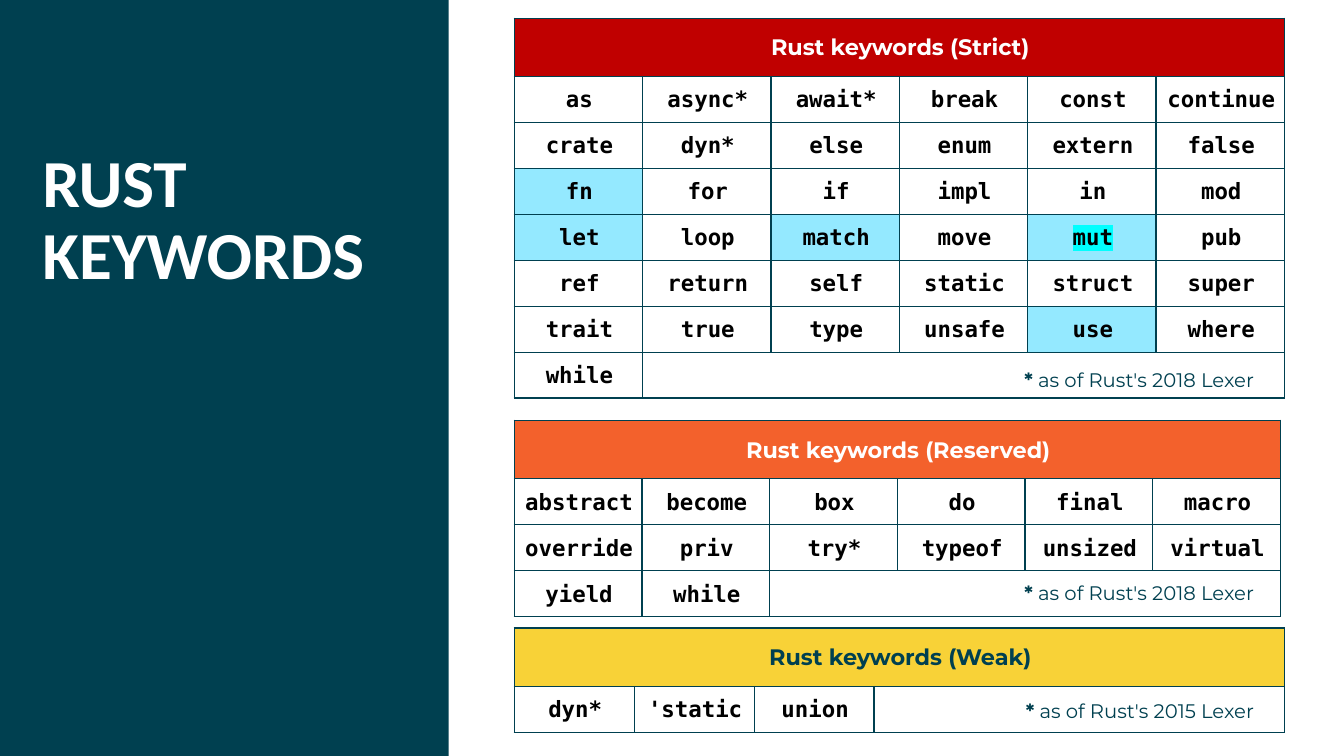
from pptx import Presentation
from pptx import util as u
from pptx.dml.color import RGBColor
from pptx.enum import shapes, text
from pptx.oxml import parse_xml
from pptx.oxml.ns import nsdecls, qn

TEAL = RGBColor(0x00, 0x40, 0x50)
WHITE = RGBColor(0xFF, 0xFF, 0xFF)
BLACK = RGBColor(0x00, 0x00, 0x00)
RED = RGBColor(0xC0, 0x00, 0x00)
ORANGE = RGBColor(0xF3, 0x61, 0x2C)
YELLOW = RGBColor(0xF8, 0xD2, 0x37)
SKY = RGBColor(0x94, 0xE9, 0xFF)
CYAN = RGBColor(0x00, 0xFF, 0xFF)

COLUMNS = 6
HEADER_HEIGHT = u.Inches(0.57)
HEADER_INSETS = (0.1, 0.16, 0.08, 0.15)
KEYWORD_INSETS = (0.1, 0.1, 0.08, 0.09)
SIDES = ("left", "top", "right", "bottom")
MIDDLE = text.MSO_ANCHOR.MIDDLE

STRICT = """as async* await* break const continue
crate dyn* else enum extern false
fn for if impl in mod
let loop match move mut pub
ref return self static struct super
trait true type unsafe use where
while"""
RESERVED = """abstract become box do final macro
override priv try* typeof unsized virtual
yield while"""
WEAK = "dyn* 'static union"
SHADED = {"fn", "let", "match", "mut", "use"}
HIGHLIGHTED = {"mut"}


def set_all(target, values):
    for name, value in values.items():
        setattr(target, name, value)


def add_span(para, words, font, size, color, bold=True):
    span = para.add_run()
    span.text = words
    set_all(span.font, {"name": font, "size": u.Pt(size), "bold": bold})
    span.font.color.rgb = color
    return span


def highlight(span, color):
    mark = parse_xml(
        f'<a:highlight {nsdecls("a")}><a:srgbClr val="{color}"/></a:highlight>')
    span.font.fill.solid()
    span.font.color.rgb = BLACK
    span._r.get_or_add_rPr().find(qn("a:solidFill")).addnext(mark)


def set_borders(cell, visible):
    properties = cell._tc.get_or_add_tcPr()
    for side in "LRTB":
        paint = (f'<a:solidFill><a:srgbClr val="{TEAL}"/></a:solidFill>'
                 if side in visible else "<a:noFill/>")
        properties.append(parse_xml(
            f'<a:ln{side} {nsdecls("a")} w="{u.Pt(1)}">{paint}</a:ln{side}>'))


def fill_cell(cell, color=None):
    if color is None:
        cell.fill.background()
    else:
        cell.fill.solid()
        cell.fill.fore_color.rgb = color


def write_cell(cell, words, font, color, insets):
    set_all(cell, {f"margin_{side}": u.Inches(inset)
                   for side, inset in zip(SIDES, insets)})
    cell.vertical_anchor = MIDDLE
    para = cell.text_frame.paragraphs[0]
    para.alignment = text.PP_ALIGN.CENTER
    return add_span(para, words, font, 16, color)


def write_keyword(cell, word):
    span = write_cell(cell, word, "DejaVu Sans Mono", BLACK, KEYWORD_INSETS)
    if word in HIGHLIGHTED:
        highlight(span, CYAN)


def blank_borders(column, first):
    return "TB" + "L" * (column == first) + "R" * (column == COLUMNS - 1)


def add_keyword_table(page, heading, keywords, top, width, height,
                      fill, color=WHITE, column_width=None):
    lines = [line.split() for line in keywords.splitlines()]
    frame = page.shapes.add_table(len(lines) + 1, COLUMNS, u.Inches(5.1),
                                  u.Inches(top), u.Inches(width), u.Inches(height))
    table = frame.table
    set_all(table, {"first_row": False, "horz_banding": False})

    if column_width:
        for column in list(table.columns)[:-1]:
            column.width = u.Inches(column_width)
        table.columns[COLUMNS - 1].width = u.Inches(
            width - column_width * (COLUMNS - 1))
    table.rows[0].height = HEADER_HEIGHT
    for row in list(table.rows)[1:]:
        row.height = (u.Inches(height) - HEADER_HEIGHT) // len(lines)

    for column in range(COLUMNS):
        set_borders(table.cell(0, column), "LRTB")
    header = table.cell(0, 0)
    header.merge(table.cell(0, COLUMNS - 1))
    fill_cell(header, fill)
    write_cell(header, heading, "Montserrat", color, HEADER_INSETS)

    for number, words in enumerate(lines, 1):
        for column in range(COLUMNS):
            cell = table.cell(number, column)
            if column < len(words):
                set_borders(cell, "LRTB")
                fill_cell(cell, SKY if words[column] in SHADED else None)
                write_keyword(cell, words[column])
            else:
                set_borders(cell, blank_borders(column, len(words)))
                fill_cell(cell)


def format_frame(frame):
    set_all(frame, {f"margin_{side}": 0 for side in SIDES})
    set_all(frame, {"word_wrap": True, "auto_size": text.MSO_AUTO_SIZE.NONE,
                    "vertical_anchor": text.MSO_ANCHOR.TOP})
    return frame.paragraphs[0]


def add_note(page, top, year):
    box = page.shapes.add_textbox(u.Inches(9.94), u.Inches(top),
                                  u.Inches(2.5), u.Inches(0.24))
    para = format_frame(box.text_frame)
    para.alignment = text.PP_ALIGN.RIGHT
    add_span(para, "*", "Montserrat", 14, TEAL)
    add_span(para, f" as of Rust's {year} Lexer", "Montserrat", 14, TEAL, False)


def add_panel(page, height):
    panel = page.shapes.add_shape(shapes.MSO_SHAPE.RECTANGLE, 0, 0,
                                  u.Inches(4.45), height)
    panel.shadow.inherit = False
    panel.fill.solid()
    panel.fill.fore_color.rgb = TEAL
    panel.line.fill.background()
    panel.element.getparent().insert(2, panel.element)


def write_title(page, words):
    title = page.shapes.title
    set_all(title, {"left": u.Inches(0.42), "top": u.Inches(1.48),
                    "width": u.Inches(3.77), "height": u.Inches(3.01)})
    para = format_frame(title.text_frame)
    set_all(para, {"alignment": text.PP_ALIGN.LEFT, "line_spacing": 0.9})
    add_span(para, words, "Calibri", 48, WHITE)


def main():
    deck = Presentation()
    set_all(deck, {"slide_width": u.Inches(13.33), "slide_height": u.Inches(7.5)})
    page = deck.slides.add_slide(deck.slide_layouts.get_by_name("Title Only"))
    add_panel(page, deck.slide_height)
    write_title(page, "RUST KEYWORDS")
    add_keyword_table(page, "Rust keywords (Strict)", STRICT,
                      0.18, 7.64, 3.76, RED)
    add_keyword_table(page, "Rust keywords (Reserved)", RESERVED,
                      4.17, 7.6, 1.94, ORANGE)
    add_keyword_table(page, "Rust keywords (Weak)", WEAK,
                      6.23, 7.64, 1.03, YELLOW, TEAL, 1.19)
    for top, year in ((3.65, 2018), (5.76, 2018), (6.93, 2015)):
        add_note(page, top, year)
    deck.save("out.pptx")


if __name__ == "__main__":
    main()
